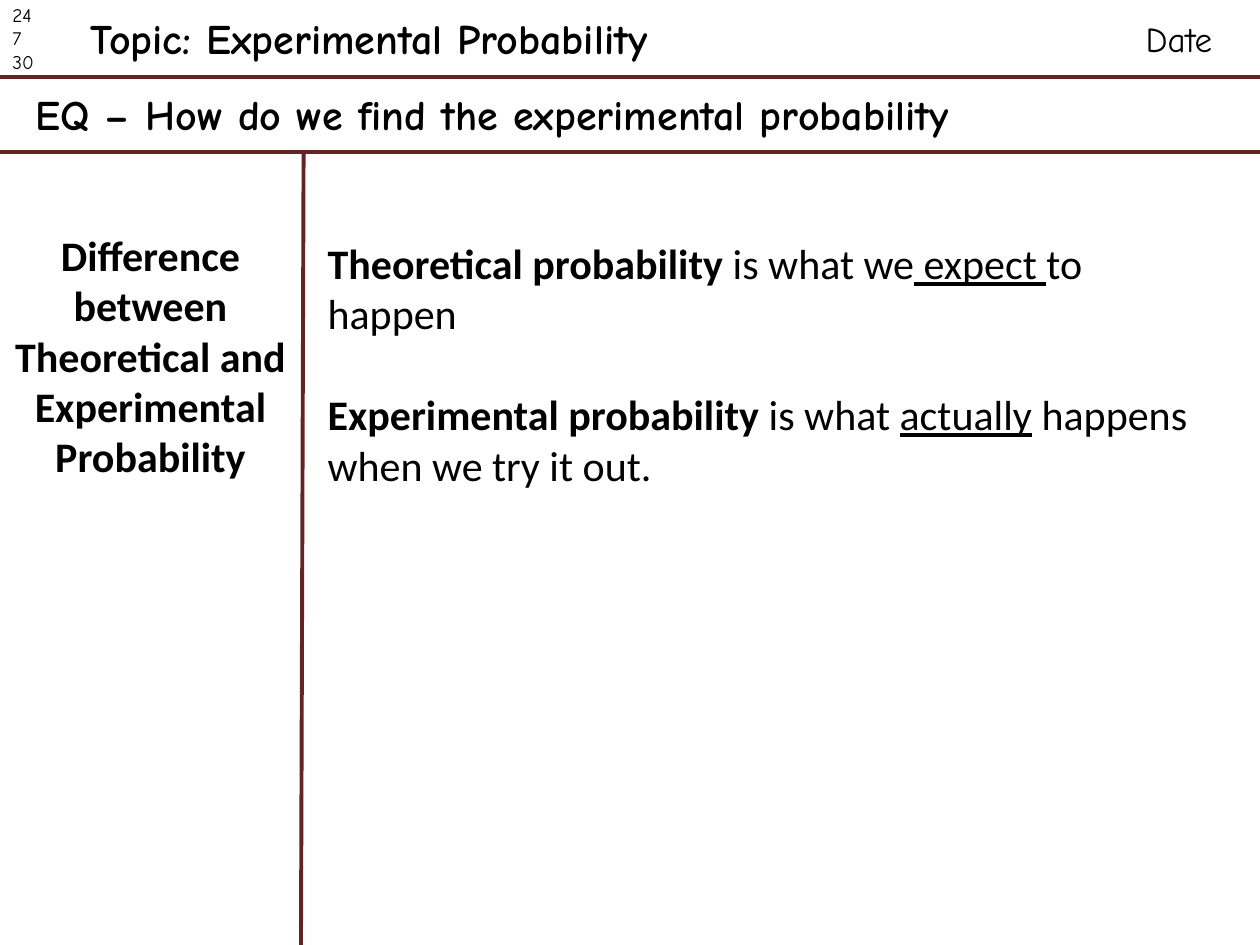
from dataclasses import dataclass

from lxml import etree
from pptx import Presentation
from pptx import util as u
from pptx.dml.color import RGBColor
from pptx.enum import shapes, text
from pptx.oxml.ns import qn


@dataclass(frozen=True)
class Theme:
    ink: str = "000000"
    rule: str = "632523"
    rule_width: float = 2.25
    heading_font: str = "Comic Neue"
    body_font: str = "Calibri"
    main_size: int = 24
    date_size: int = 20
    pacing_size: int = 11


class NotesSlide:
    def __init__(self, deck, theme):
        self.theme = theme
        self.slide = deck.slides.add_slide(deck.slide_layouts[1])

    def rule(self, start, end):
        line = self.slide.shapes.add_connector(
            shapes.MSO_CONNECTOR.STRAIGHT, *map(u.Pt, start + end))
        line.line.color.rgb = RGBColor.from_string(self.theme.rule)
        line.line.width = u.Pt(self.theme.rule_width)
        etree.SubElement(line._element.spPr, qn("a:effectLst"))

    def add_text(self, box, paragraphs, font, size, align=text.PP_ALIGN.LEFT, gap=0):
        """Fill a box; each paragraph is a list of (words, style) runs.

        The style is any combination of "b" (bold) and "u" (underline).
        """
        frame = box.text_frame
        frame.word_wrap = True
        frame.auto_size = text.MSO_AUTO_SIZE.NONE
        frame.vertical_anchor = text.MSO_ANCHOR.TOP
        for index, runs in enumerate(paragraphs):
            para = frame.add_paragraph() if index else frame.paragraphs[0]
            para.alignment = align
            para.space_before = u.Pt(gap if index else 0)
            for words, style in runs:
                span = para.add_run()
                span.text = words
                span.font.name = font
                span.font.size = u.Pt(size)
                span.font.bold = "b" in style
                span.font.underline = "u" in style
                span.font.color.rgb = RGBColor.from_string(self.theme.ink)

    def text_box(self, place, paragraphs, font, size, **layout):
        box = self.slide.shapes.add_textbox(*map(u.Pt, place))
        self.add_text(box, paragraphs, font, size, **layout)

    def fill_placeholder(self, box, place, paragraphs, font, **layout):
        box.left, box.top, box.width, box.height = map(u.Pt, place)
        self.add_text(box, paragraphs, font, self.theme.main_size, **layout)

    def title(self, place, words):
        self.fill_placeholder(self.slide.shapes.title, place, [[(words, "b")]],
                              self.theme.heading_font)

    def body(self, place, paragraphs, gap):
        box = self.slide.placeholders[1]
        self.fill_placeholder(box, place, paragraphs, self.theme.body_font, gap=gap)
        for para in box.text_frame.paragraphs:
            properties = para._p.get_or_add_pPr()
            properties.set("marL", "0")
            properties.set("indent", "0")
            etree.SubElement(properties, qn("a:buNone"))


def main():
    width, height = 720, 540
    topic_rule, question_rule = 44, 87
    theme = Theme()
    deck = Presentation()
    deck.slide_width, deck.slide_height = u.Pt(width), u.Pt(height)
    page = NotesSlide(deck, theme)

    for y in (topic_rule, question_rule):
        page.rule((0, y), (width, y))
    page.rule((173.5, question_rule), (172, height))

    page.text_box((0, -1.5, 40, 47.5), [[(count, "")] for count in ("24", "7", "30")],
                  theme.heading_font, theme.pacing_size)
    page.title((44.5, 3.5, 370, 36), "Topic: Experimental Probability")
    page.text_box((647.5, 6.5, 65.5, 31.5), [[("Date", "")]],
                  theme.heading_font, theme.date_size)
    page.text_box((13, 47, 680, 36),
                  [[("EQ – How do we find the experimental probability", "b")]],
                  theme.heading_font, theme.main_size)

    page.text_box((0, 127.5, 172, 152.5),
                  [[("Difference between Theoretical and Experimental Probability", "b")]],
                  theme.body_font, theme.main_size, align=text.PP_ALIGN.CENTER)
    page.body((180, 132, 513.5, 181.5), [
        [("Theoretical probability ", "b"), ("is what we", ""),
         (" expect ", "u"), ("to happen", "")],
        [("Experimental probability ", "b"), ("is what ", ""),
         ("actually", "u"), (" happens when we try it out.", "")],
    ], gap=29)

    deck.save("out.pptx")


if __name__ == "__main__":
    main()
